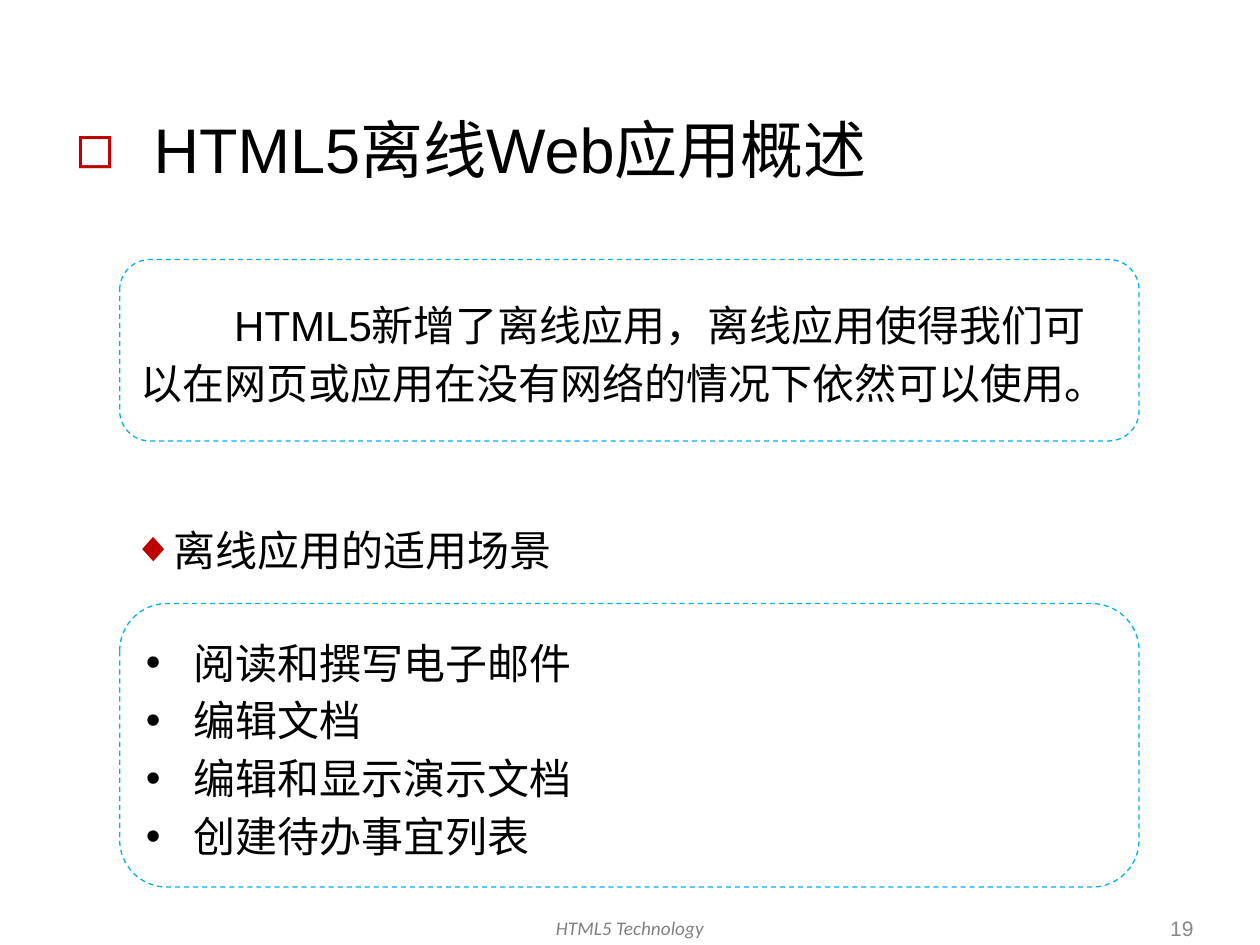
from lxml import etree
from pptx import Presentation
from pptx.dml.color import RGBColor
from pptx.enum.dml import MSO_LINE
from pptx.enum.shapes import MSO_SHAPE
from pptx.enum.text import MSO_ANCHOR, MSO_AUTO_SIZE, PP_ALIGN
from pptx.oxml.ns import qn
from pptx.util import Inches, Pt

BLACK = RGBColor(0, 0, 0)
RED = RGBColor(0xC0, 0, 0)
BLUE = RGBColor(0, 0xB0, 0xF0)
FOOTER_GRAY = RGBColor(0x80, 0x80, 0x80)
NUMBER_GRAY = RGBColor(0x89, 0x89, 0x89)

TITLE = "HTML5离线Web应用概述"
INTRO = "HTML5新增了离线应用，离线应用使得我们可以在网页或应用在没有网络的情况下依然可以使用。"
HEADING = "离线应用的适用场景"
SCENARIOS = ["阅读和撰写电子邮件", "编辑文档", "编辑和显示演示文档", "创建待办事宜列表"]
FOOTER = "HTML5 Technology"
SLIDE_NUMBER = "19"

LEFT = 0.95
PANEL_WIDTH = 8.09


def style(paragraph, size, color=BLACK, align=PP_ALIGN.LEFT, font="Arial"):
    paragraph.alignment = align
    paragraph.font.size = Pt(size)
    paragraph.font.name = font
    paragraph.font.color.rgb = color


def indent(paragraph, margin, first_line):
    properties = paragraph._p.get_or_add_pPr()
    properties.set("marL", str(Inches(margin)))
    properties.set("indent", str(Inches(first_line)))
    return properties


def add_bullet(paragraph, character, hanging, color=None):
    """Call after style and line spacing: bullet elements precede defRPr."""
    properties = indent(paragraph, hanging, -hanging)
    bullet = []
    if color is not None:
        color_element = etree.Element(qn("a:buClr"))
        etree.SubElement(color_element, qn("a:srgbClr"), val=str(color))
        bullet.append(color_element)
    bullet.append(etree.Element(qn("a:buFont"), typeface="Arial"))
    bullet.append(etree.Element(qn("a:buChar"), char=character))
    defaults = properties.find(qn("a:defRPr"))
    for element in bullet:
        defaults.addprevious(element)


def add_text(slide, text, left, top, width, height, anchor=MSO_ANCHOR.TOP, wrap=True):
    box = slide.shapes.add_textbox(Inches(left), Inches(top), Inches(width), Inches(height))
    frame = box.text_frame
    frame.word_wrap = wrap
    frame.vertical_anchor = anchor
    frame.text = text
    return frame


def add_panel(slide, top, height, lines):
    panel = slide.shapes.add_shape(
        MSO_SHAPE.ROUNDED_RECTANGLE,
        Inches(LEFT), Inches(top), Inches(PANEL_WIDTH), Inches(height))
    panel.shadow.inherit = False
    panel.fill.background()
    panel.line.color.rgb = BLUE
    panel.line.width = Pt(0.75)
    panel.line.dash_style = MSO_LINE.DASH
    frame = panel.text_frame
    frame.word_wrap = True
    frame.vertical_anchor = MSO_ANCHOR.MIDDLE
    frame.text = "\n".join(lines)
    for paragraph in frame.paragraphs:
        style(paragraph, 24)
        paragraph.line_spacing = Pt(33)
    return frame.paragraphs


def main():
    presentation = Presentation()
    presentation.slide_width = Inches(10)
    presentation.slide_height = Inches(7.5)
    slide = presentation.slides.add_slide(presentation.slide_layouts[5])

    title = slide.shapes.title
    title.left, title.top = Inches(0.5), Inches(0.83)
    title.width, title.height = Inches(8.75), Inches(0.98)
    title_frame = title.text_frame
    title_frame.text = TITLE
    title_frame.vertical_anchor = MSO_ANCHOR.TOP
    title_frame.auto_size = MSO_AUTO_SIZE.NONE
    style(title_frame.paragraphs[0], 36)
    add_bullet(title_frame.paragraphs[0], "◻", 0.62, RED)

    intro = add_panel(slide, 2.06, 1.44, [INTRO])
    indent(intro[0], 0, 0.74)

    for paragraph in add_panel(slide, 4.79, 2.25, SCENARIOS):
        add_bullet(paragraph, "•", 0.38)

    heading = add_text(slide, HEADING, LEFT, 4.11, 3.56, 0.5, wrap=False)
    heading.auto_size = MSO_AUTO_SIZE.SHAPE_TO_FIT_TEXT
    style(heading.paragraphs[0], 24)
    add_bullet(heading.paragraphs[0], "◆", 0.31, RED)

    footer = add_text(slide, FOOTER, 3.22, 7.22, 3.56, 0.33).paragraphs[0]
    style(footer, 11, FOOTER_GRAY, PP_ALIGN.CENTER, "Calibri")
    footer.font.italic = True

    number = add_text(slide, SLIDE_NUMBER, 7.32, 7.22, 2.25, 0.29, MSO_ANCHOR.MIDDLE)
    style(number.paragraphs[0], 12, NUMBER_GRAY, PP_ALIGN.RIGHT)

    presentation.save("out.pptx")


if __name__ == "__main__":
    main()
